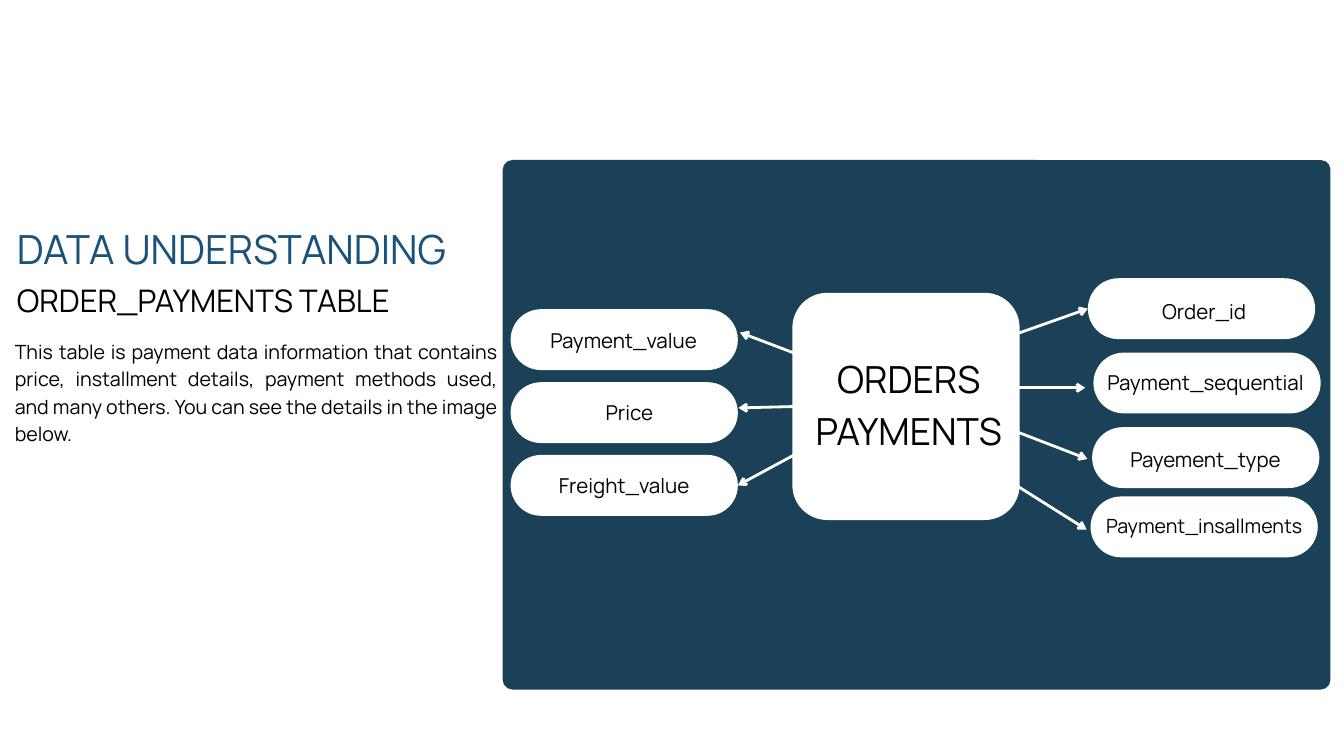
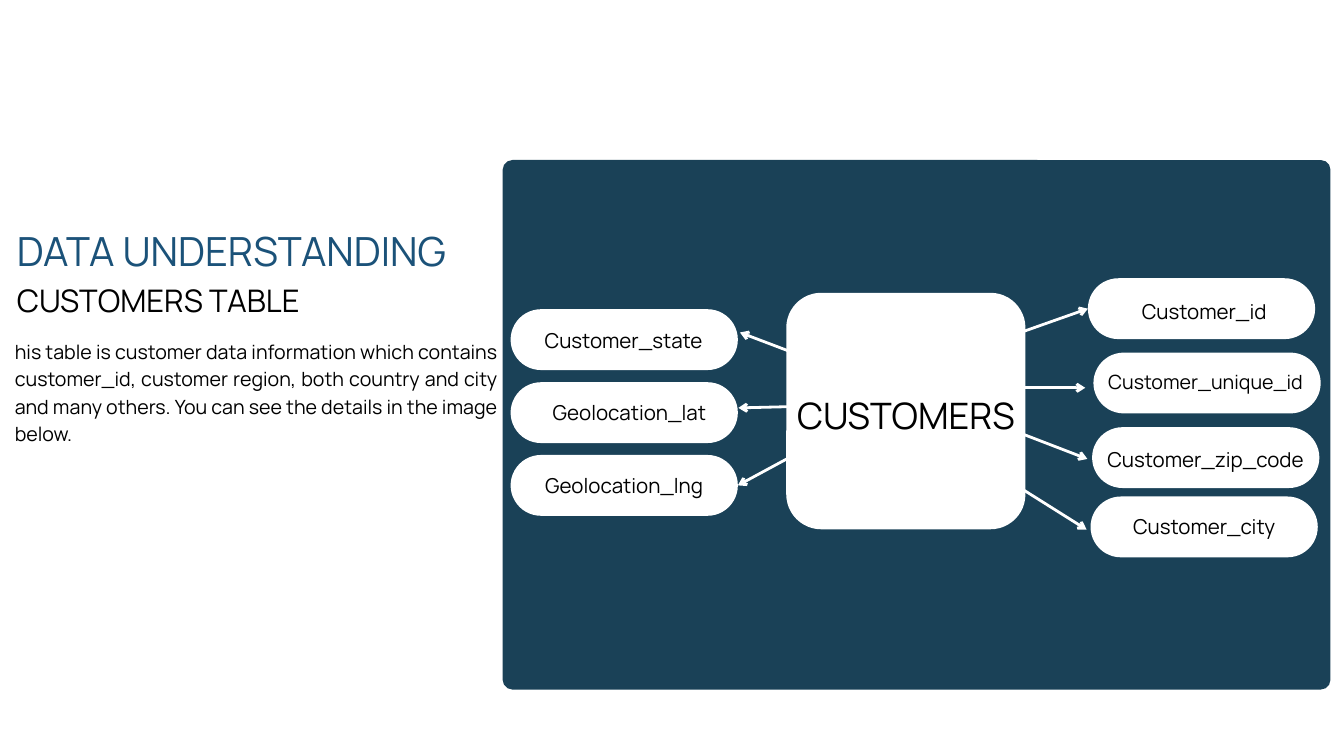
import pptx
import pptx.dml.color
import pptx.enum.shapes
import pptx.enum.text
import pptx.oxml.ns
import pptx.util
from lxml import etree
from pptx.util import Cm

COLORS = {"panel": "1A4157", "title": "1B5279", "white": "FFFFFF", "text": "000000"}
FONT = "Manrope"
ALIGN = pptx.enum.text.PP_ALIGN
PILL_WIDTH, PILL_HEIGHT = 8.59, 2.3
LEFT_SIDE, RIGHT_SIDE = 1, 3

# One row per field: pill left and top, label left, top and width (cm).
FIELD_LAYOUT = [
    (19.3, 11.69, 19.1, 12.24, 8.94),
    (19.3, 14.45, 19.94, 14.96, 7.7),
    (19.3, 17.2, 19.74, 17.73, 7.7),
    (41.12, 10.52, 41.17, 11.15, 8.69),
    (41.33, 13.33, 41.22, 13.82, 8.69),
    (41.28, 16.15, 41.22, 16.74, 8.69),
    (41.22, 18.77, 41.17, 19.28, 8.69),
]

# One row per field: arrow start and end (cm), and the pill side it joins, if any.
ARROWS = [
    ((32, 14.1), (27.97, 12.57), None),
    ((32, 15.32), (27.91, 15.42), None),
    ((32.66, 15.77), (27.89, 18.35), RIGHT_SIDE),
    ((34.24, 14.1), (41.12, 11.67), LEFT_SIDE),
    ((32.66, 14.66), (41.02, 14.66), None),
    ((32.66, 14.1), (41.1, 17.35), None),
    ((32.66, 14.73), (41.07, 20.02), None),
]

# Fields go down the left side, then down the right; each has a label and size.
PAGES = [
    {
        "heading_top": 8.46,
        "subtitle": "ORDER_PAYMENTS TABLE",
        "body": "This table is payment data information that contains price, "
                "installment details, payment methods used, and many others. "
                "You can see the details in the image below.",
        "fields": [("Payment_value", 22), ("Price", 22), ("Freight_value", 22),
                   ("Order_id", 22), ("Payment_sequential", 22),
                   ("Payement_type", 22), ("Payment_insallments", 21)],
        "entity": "ORDERS\nPAYMENTS",
        "entity_size": 40,
        "entity_card": (29.95, 11.07, 8.59, 8.59),
        "entity_label": (28.8, 13.18, 11.1, 3.96),
    },
    {
        "heading_top": 8.51,
        "subtitle": "CUSTOMERS TABLE",
        "body": "his table is customer data information which contains "
                "customer_id, customer region, both country and city and many "
                "others. You can see the details in the image below.",
        "fields": [("Customer_state", 22), ("Geolocation_lat", 22),
                   ("Geolocation_lng", 22), ("Customer_id", 22),
                   ("Customer_unique_id", 21), ("Customer_zip_code", 22),
                   ("Customer_city", 22)],
        "entity": "CUSTOMERS",
        "entity_size": 39,
        "entity_card": (29.72, 11.07, 9.04, 8.94),
        "entity_label": (29.95, 14.6, 8.59, 1.96),
    },
]


def rgb(name):
    return pptx.dml.color.RGBColor.from_string(COLORS[name])


def add_text(page, text, left, top, width, height, *, size, color="text",
             align=ALIGN.CENTER, leading=None):
    """Add one paragraph per line; leading is in points, 1.4 times size by default."""
    box = page.shapes.add_textbox(Cm(left), Cm(top), Cm(width), Cm(height))
    frame = box.text_frame
    frame.word_wrap = True
    frame.auto_size = pptx.enum.text.MSO_AUTO_SIZE.SHAPE_TO_FIT_TEXT
    frame.margin_left = frame.margin_right = frame.margin_top = frame.margin_bottom = 0
    frame.text = text
    for para in frame.paragraphs:
        para.alignment = align
        para.line_spacing = pptx.util.Pt(leading or 1.4 * size)
        for span in para.runs:
            span.font.name = FONT
            span.font.size = pptx.util.Pt(size)
            span.font.color.rgb = rgb(color)


def add_card(page, left, top, width, height, *, radius, color="white"):
    """Add a rounded rectangle with its corner radius in cm."""
    card = page.shapes.add_shape(
        pptx.enum.shapes.MSO_SHAPE.ROUNDED_RECTANGLE,
        Cm(left), Cm(top), Cm(width), Cm(height))
    card.adjustments[0] = radius / min(width, height)
    card.shadow.inherit = False
    card.fill.solid()
    card.fill.fore_color.rgb = rgb(color)
    card.line.fill.background()
    return card


def add_arrow(page, start, end, pill, side):
    arrow = page.shapes.add_connector(
        pptx.enum.shapes.MSO_CONNECTOR.STRAIGHT,
        *(Cm(length) for length in start + end))
    if side is not None:
        arrow.end_connect(pill, side)
    arrow.line.color.rgb = rgb("white")
    arrow.line.width = pptx.util.Pt(3)
    properties = arrow._element.spPr
    outline = properties.find(pptx.oxml.ns.qn("a:ln"))
    etree.SubElement(outline, pptx.oxml.ns.qn("a:tailEnd"), type="arrow")
    etree.SubElement(properties, pptx.oxml.ns.qn("a:effectLst"))


def add_field(page, field, layout):
    label, size = field
    pill_left, pill_top, label_left, label_top, label_width = layout
    pill = add_card(page, pill_left, pill_top, PILL_WIDTH, PILL_HEIGHT,
                    radius=PILL_HEIGHT / 2)
    add_text(page, label, label_left, label_top, label_width, 1.09, size=size)
    return pill


def add_diagram(page, content):
    add_card(page, 19, 6.05, 31.29, 20.02, radius=0.37, color="panel")
    pills = [add_field(page, field, layout)
             for field, layout in zip(content["fields"], FIELD_LAYOUT)]
    for pill, (start, end, side) in zip(pills, ARROWS):
        add_arrow(page, start, end, pill, side)
    add_card(page, *content["entity_card"], radius=1.32)
    add_text(page, content["entity"], *content["entity_label"],
             size=content["entity_size"])


def add_introduction(page, content):
    add_text(page, "DATA UNDERSTANDING", 0.64, content["heading_top"], 18.3, 1.9,
             size=43, color="title", align=ALIGN.LEFT, leading=52.5)
    add_text(page, content["subtitle"], 0.64, 10.41, 15.67, 1.68,
             size=33.3, align=ALIGN.JUSTIFY)
    add_text(page, content["body"], 0.56, 12.7, 18.24, 5.18,
             size=21, align=ALIGN.JUSTIFY)


def main():
    deck = pptx.Presentation()
    deck.slide_width, deck.slide_height = Cm(50.8), Cm(28.58)
    for content in PAGES:
        page = deck.slides.add_slide(deck.slide_layouts[6])
        add_diagram(page, content)
        add_introduction(page, content)
    deck.save("out.pptx")


if __name__ == "__main__":
    main()
